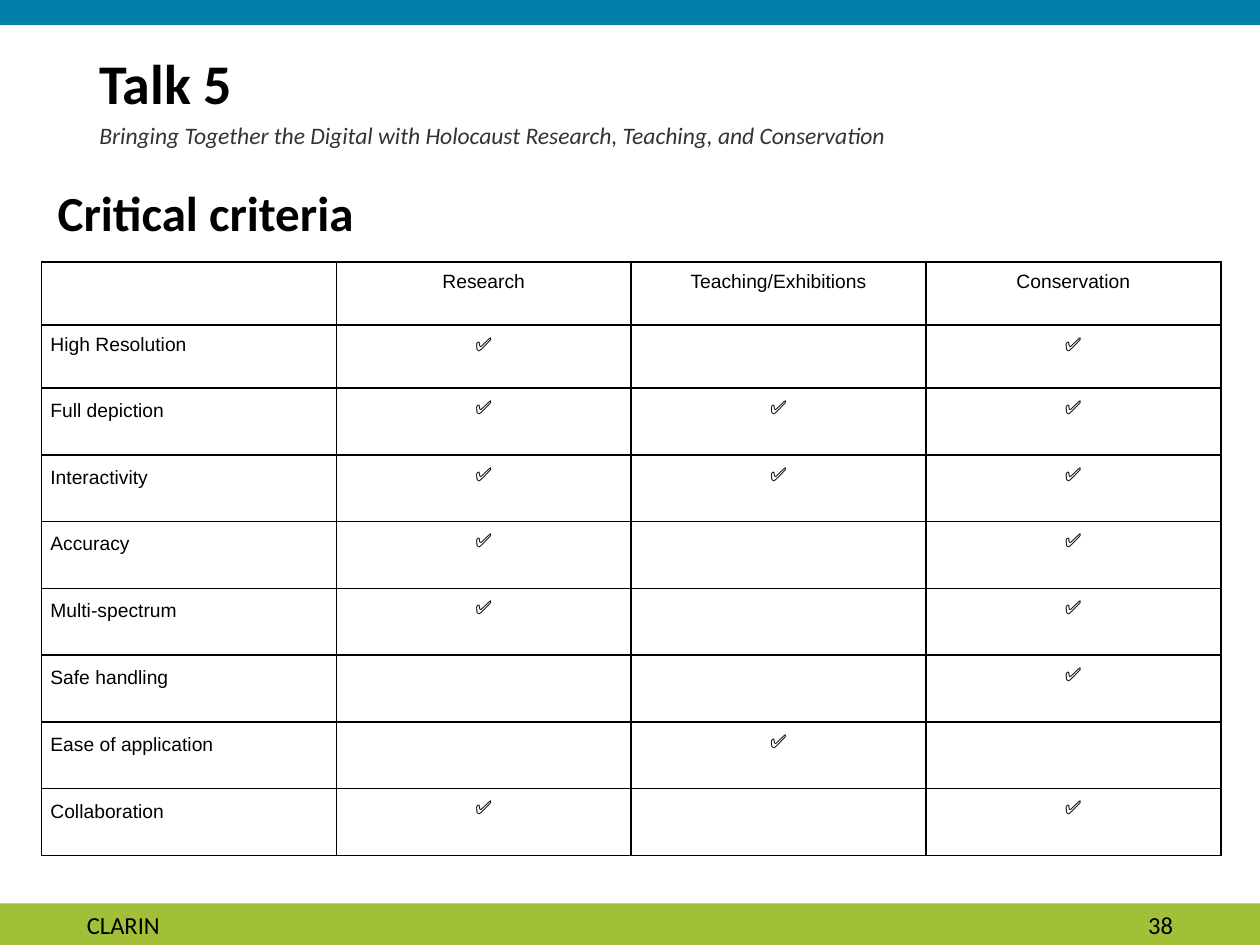
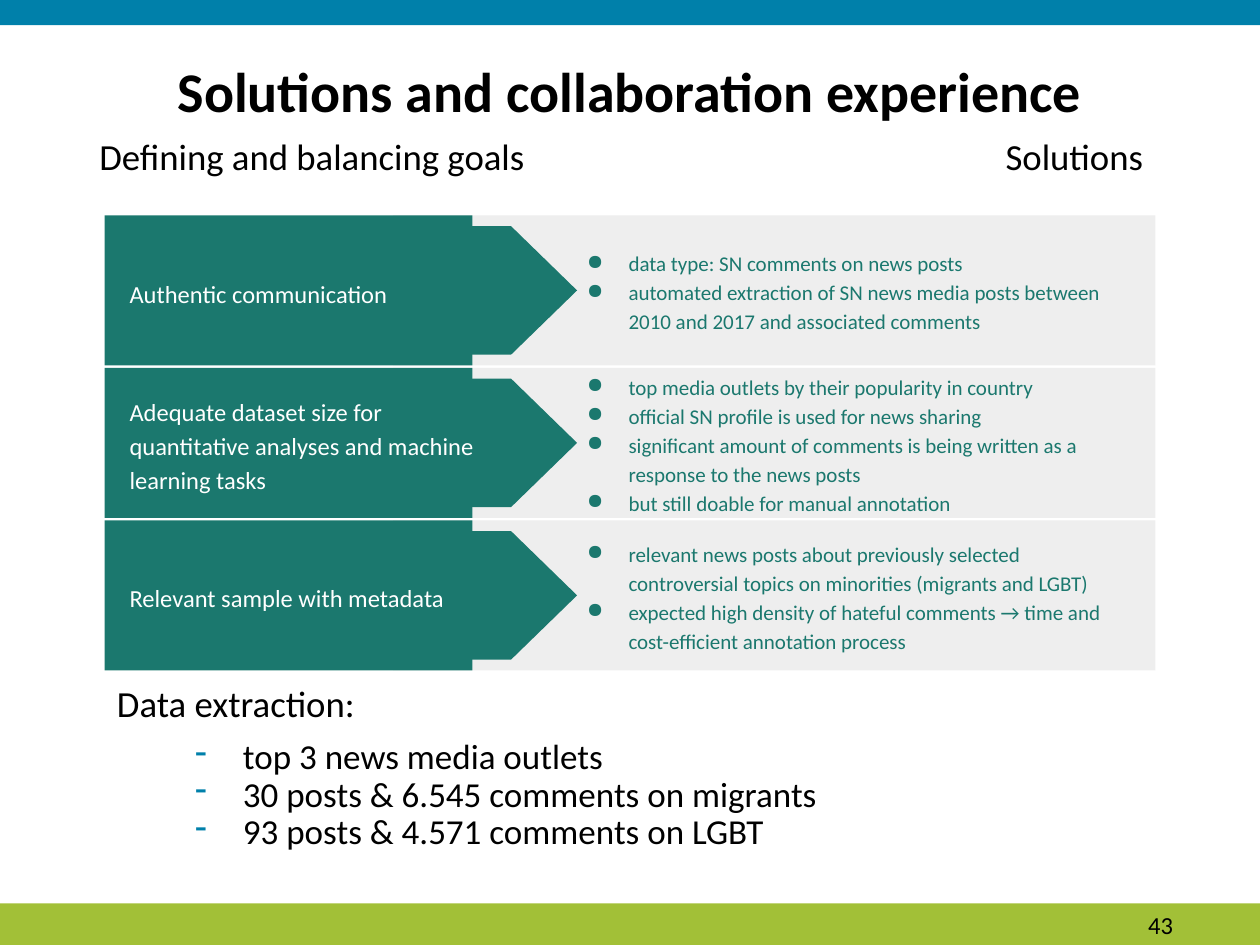
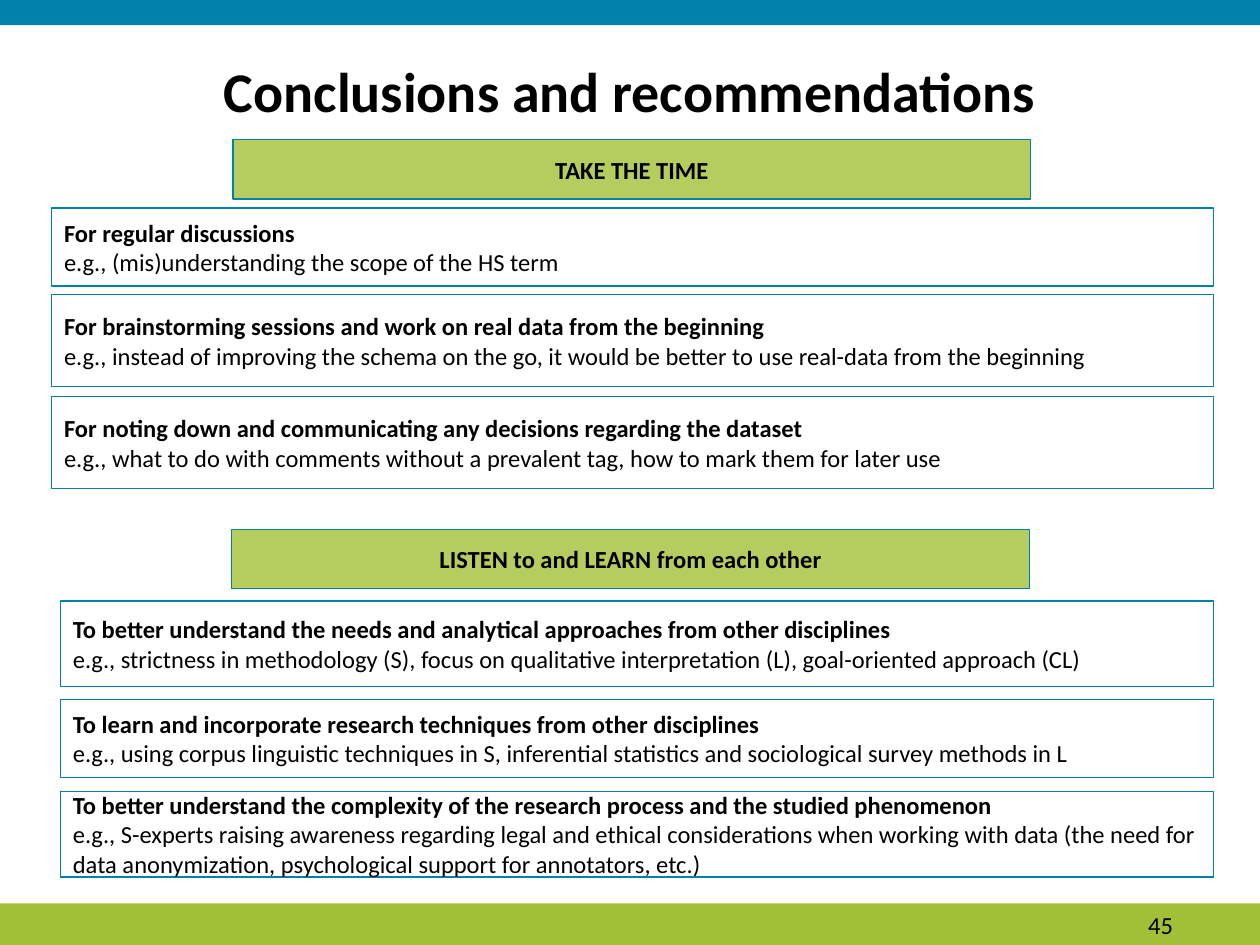
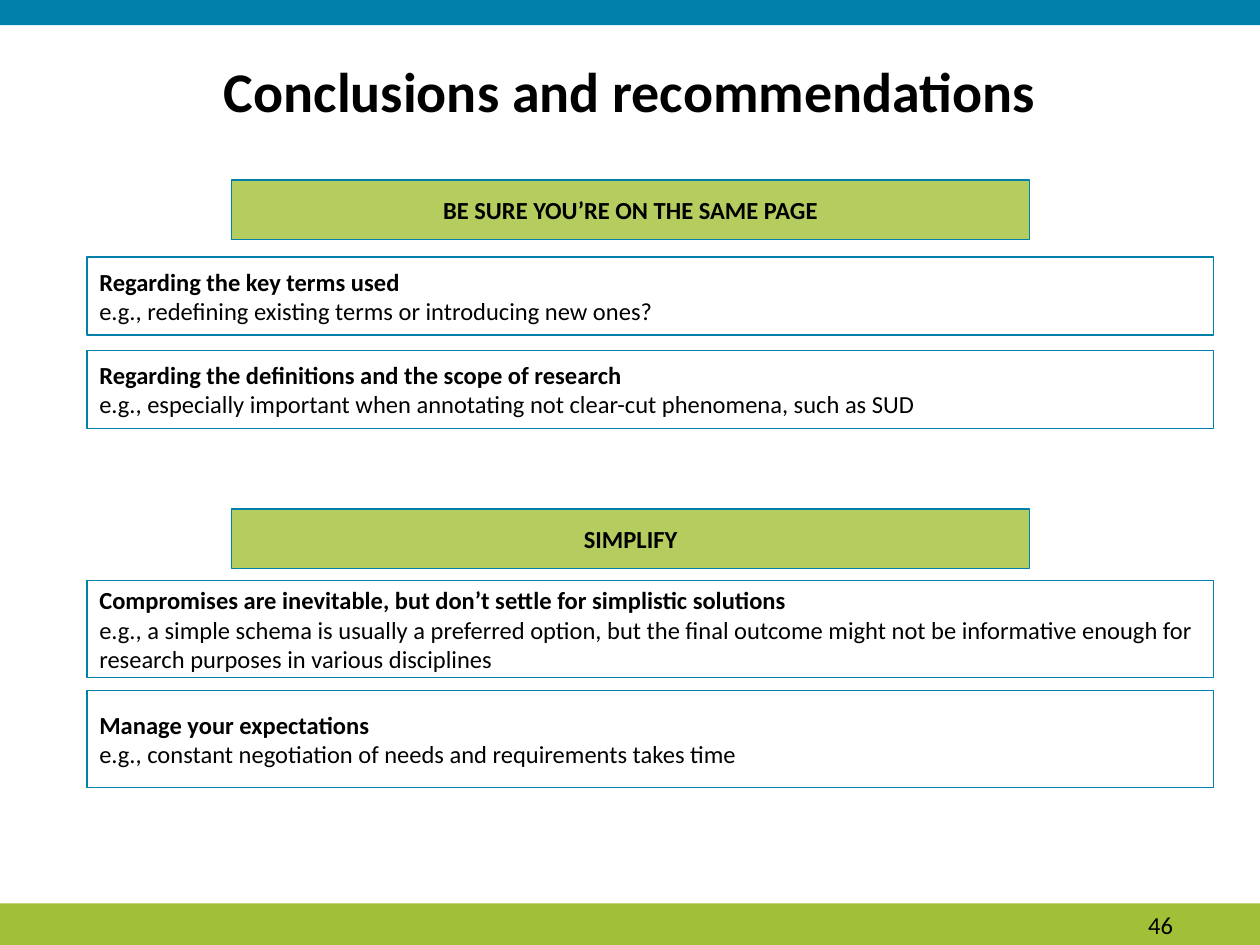
import lxml.etree
import pptx
import pptx.dml.color
import pptx.enum.shapes
import pptx.enum.text
import pptx.oxml.ns
import pptx.util

inch = pptx.util.Inches
qn = pptx.oxml.ns.qn
shape_of = pptx.enum.shapes.MSO_SHAPE
align = pptx.enum.text.PP_ALIGN
MID = pptx.enum.text.MSO_ANCHOR.MIDDLE
TOP = pptx.enum.text.MSO_ANCHOR.TOP

HUES = {
    "blue": "0080AA", "green": "A2C037", "lime": "B5CD5F", "teal": "1B786E",
    "pale": "EEEEEE", "black": "000000", "gray": "333333", "white": "FFFFFF",
}


def rgb(hue):
    return pptx.dml.color.RGBColor.from_string(HUES[hue])


def write(frame, lines):
    """Fill a text frame with (text, format) pairs, one paragraph each."""
    for i, (text, form) in enumerate(lines):
        para = frame.paragraphs[0] if i == 0 else frame.add_paragraph()
        form = {"name": "Calibri", "hue": "black", **form}
        if "bullet" in form:
            mark, hue, left, hang = form.pop("bullet")
            props = para._p.get_or_add_pPr()
            props.set("marL", str(inch(left)))
            props.set("indent", str(inch(hang)))
            tint = lxml.etree.SubElement(props, qn("a:buClr"))
            lxml.etree.SubElement(tint, qn("a:srgbClr"), val=HUES[hue])
            lxml.etree.SubElement(props, qn("a:buChar"), char=mark)
        run = para.add_run()
        run.text = text
        run.font.color.rgb = rgb(form.pop("hue"))
        for key, value in form.items():
            if key in ("size", "space_before"):
                value = pptx.util.Pt(value)
            home = run.font if key in ("size", "bold", "italic", "name") else para
            setattr(home, key, value)


def box(shapes, spot, lines=(), kind=None, fill=None, line=None,
        inset=(0.1, 0.05, 0.1, 0.05), anchor=TOP):
    """Add a text box, or a preset shape if a kind is given."""
    spot = [inch(n) for n in spot]
    if kind is None:
        item = shapes.add_textbox(*spot)
    else:
        item = shapes.add_shape(kind, *spot)
        item.shadow.inherit = False
        if fill:
            item.fill.solid()
            item.fill.fore_color.rgb = rgb(fill)
        else:
            item.fill.background()
        if line:
            item.line.color.rgb = rgb(line)
            item.line.width = pptx.util.Pt(0.75)
        else:
            item.line.fill.background()
    frame = item.text_frame
    frame.word_wrap = True
    frame.vertical_anchor = anchor
    for side, gap in zip(("left", "top", "right", "bottom"), inset):
        setattr(frame, "margin_" + side, inch(gap))
    write(frame, lines)
    return item


deck = pptx.Presentation()
deck.slide_width, deck.slide_height = inch(10), inch(7.5)

# Shared bands, page numbers and titles
TITLE = {"size": 32, "bold": True}
HEAD = {**TITLE, "alignment": align.CENTER}
FOOT = {"size": 14}
titles = {
    38: [("Talk 5", {**TITLE, "line_spacing": 0.9}),
         ("Bringing Together the Digital with Holocaust Research, Teaching, and Conservation",
          {"size": 13.5, "italic": True, "hue": "gray", "line_spacing": 1.15})],
    43: [("Solutions and collaboration experience", HEAD)],
    45: [("Conclusions and recommendations", HEAD)],
    46: [("Conclusions and recommendations", HEAD)],
}
pages = {}
for num, title in titles.items():
    shapes = deck.slides.add_slide(deck.slide_layouts[6]).shapes
    pages[num] = shapes
    box(shapes, (0, 7.17, 10, 0.33), kind=shape_of.RECTANGLE, fill="green")
    box(shapes, (0, 0, 10, 0.2), kind=shape_of.RECTANGLE, fill="blue")
    box(shapes, (0.69, 0.4, 8.62, 0.94), title)
    box(shapes, (7.06, 7.19, 2.25, 0.29), [(str(num), {**FOOT, "alignment": align.RIGHT})],
        inset=(0.1, 0.05, 0, 0.05), anchor=MID)

# Criteria table
shapes = pages[38]
box(shapes, (0.36, 1.33, 9.36, 0.76),
    [("Critical criteria", {"size": 28, "bold": True, "line_spacing": 1.15})])
box(shapes, (0.69, 7.19, 6, 0.29), [("CLARIN", FOOT)], inset=(0, 0.05, 0.1, 0.05), anchor=MID)
YES = "✅"
rows = [
    ("", "Research", "Teaching/Exhibitions", "Conservation"),
    ("High Resolution", YES, "", YES),
    ("Full depiction", YES, YES, YES),
    ("Interactivity", YES, YES, YES),
    ("Accuracy", YES, "", YES),
    ("Multi-spectrum", YES, "", YES),
    ("Safe handling", "", "", YES),
    ("Ease of application", "", YES, ""),
    ("Collaboration", YES, "", YES),
]
table = shapes.add_table(len(rows), 4, inch(0.33), inch(2.08), inch(9.36), inch(4.71)).table
table.first_row = table.horz_banding = False
for col in table.columns:
    col.width = inch(2.34)
for r, row in enumerate(rows):
    table.rows[r].height = inch(0.5 if r < 2 else 0.53)
    for c, text in enumerate(row):
        cell = table.cell(r, c)
        for side in ("left", "top", "right", "bottom"):
            setattr(cell, "margin_" + side, inch(0.07))
        form = {"size": 11, "name": "Arial"}
        if c:
            form["alignment"] = align.CENTER
        elif r > 1:
            form["line_spacing"] = 1.15
        write(cell.text_frame, [(text, form)])
        props = cell._tc.get_or_add_tcPr()
        for edge in ("lnL", "lnR", "lnT", "lnB"):
            rule = lxml.etree.SubElement(props, qn("a:" + edge), w=str(pptx.util.Pt(1)))
            paint = lxml.etree.SubElement(rule, qn("a:solidFill"))
            lxml.etree.SubElement(paint, qn("a:srgbClr"), val=HUES["black"])
        cell.fill.background()

# Goals and their solutions
shapes = pages[43]
LEAD = {"size": 21, "line_spacing": 0.9}
box(shapes, (0.69, 1.05, 4.31, 0.5), [("Defining and balancing goals", LEAD)])
box(shapes, (5.18, 1.05, 3.99, 0.5), [("Solutions", {**LEAD, "alignment": align.RIGHT})])
goals = {
    "Authentic communication": [
        "data type: SN comments on news posts",
        "automated extraction of SN news media posts between 2010 and 2017 and associated comments",
    ],
    "Adequate dataset size for quantitative analyses and machine learning tasks": [
        "top media outlets by their popularity in country",
        "official SN profile is used for news sharing",
        "significant amount of comments is being written as a response to the news posts",
        "but still doable for manual annotation",
    ],
    "Relevant sample with metadata": [
        "relevant news posts about previously selected controversial topics on minorities "
        "(migrants and LGBT)",
        "expected high density of hateful comments → time and cost-efficient annotation process",
    ],
}
GOAL = {"size": 14, "hue": "white", "line_spacing": 1.15}
POINT = {"size": 12, "hue": "teal", "line_spacing": 1.15, "bullet": ("●", "teal", 0.5, -0.33)}
EVEN = (0.1, 0.1, 0.1, 0.1)
high = 1.19
for i, (goal, points) in enumerate(goals.items()):
    top = 1.71 + 1.21 * i
    band = shapes.add_group_shape().shapes
    box(band, (3.12, top, 6.05, high), kind=shape_of.RECTANGLE, fill="pale")
    box(band, (0.83, top, 2.92, high), kind=shape_of.RECTANGLE, fill="teal")
    arrow = box(band, (2.76, top + high / 2 - 1.31, 1.02, 2.62),
                kind=shape_of.FLOWCHART_OFFPAGE_CONNECTOR, fill="teal")
    arrow.rotation = 270
    box(band, (0.93, top + 0.14, 3.07, 0.92), [(goal, GOAL)], inset=EVEN, anchor=MID)
    box(band, (4.39, top, 4.47, high), [(point, POINT) for point in points],
        inset=EVEN, anchor=MID)
DASH = {"size": 20, "line_spacing": 0.9, "bullet": ("-", "blue", 1, -0.38)}
box(shapes, (0.83, 5.39, 8.75, 1.48), [
    ("Data extraction:", LEAD),
    ("top 3 news media outlets", {**DASH, "space_before": 8}),
    ("30 posts & 6.545 comments on migrants", DASH),
    ("93 posts & 4.571 comments on LGBT", DASH),
])

# Advice: page, banner, banner spot, card left, cards as (top, height, claim, example)
advice = [
    (45, "TAKE THE TIME", (1.85, 1.11), 0.41, [
        (1.65, 0.62, "For regular discussions",
         "e.g., (mis)understanding the scope of the HS term"),
        (2.34, 0.73, "For brainstorming sessions and work on real data from the beginning",
         "e.g., instead of improving the schema on the go, it would be better to use "
         "real-data from the beginning"),
        (3.15, 0.73, "For noting down and communicating any decisions regarding the dataset",
         "e.g., what to do with comments without a prevalent tag, how to mark them for later use"),
    ]),
    (45, "LISTEN to and LEARN from each other", (1.84, 4.2), 0.48, [
        (4.77, 0.68,
         "To better understand the needs and analytical approaches from other disciplines",
         "e.g., strictness in methodology (S), focus on qualitative interpretation (L), "
         "goal-oriented approach (CL)"),
        (5.55, 0.62, "To learn and incorporate research techniques from other disciplines",
         "e.g., using corpus linguistic techniques in S, inferential statistics and "
         "sociological survey methods in L"),
        (6.28, 0.68,
         "To better understand the complexity of the research process and the studied phenomenon",
         "e.g., S-experts raising awareness regarding legal and ethical considerations when "
         "working with data (the need for data anonymization, psychological support for "
         "annotators, etc.)"),
    ]),
    (46, "BE SURE YOU’RE ON THE SAME PAGE", (1.84, 1.43), 0.69, [
        (2.04, 0.62, "Regarding the key terms used",
         "e.g., redefining existing terms or introducing new ones?"),
        (2.78, 0.62, "Regarding the definitions and the scope of research",
         "e.g., especially important when annotating not clear-cut phenomena, such as SUD"),
    ]),
    (46, "SIMPLIFY", (1.84, 4.04), 0.69, [
        (4.61, 0.77, "Compromises are inevitable, but don’t settle for simplistic solutions",
         "e.g., a simple schema is usually a preferred option, but the final outcome might "
         "not be informative enough for research purposes in various disciplines"),
        (5.48, 0.77, "Manage your expectations",
         "e.g., constant negotiation of needs and requirements takes time"),
    ]),
]
CARD = {"kind": shape_of.RECTANGLE, "line": "blue", "inset": EVEN, "anchor": MID}
CLAIM = {"size": 14, "bold": True, "alignment": align.LEFT}
CASE = {**CLAIM, "bold": False}
for num, banner, spot, left, cards in advice:
    box(pages[num], (*spot, 6.33, 0.47), [(banner, {**CLAIM, "alignment": align.CENTER})],
        fill="lime", **CARD)
    for top, tall, claim, case in cards:
        box(pages[num], (left, top, 9.63 - left, tall), [(claim, CLAIM), (case, CASE)], **CARD)

deck.save("out.pptx")
